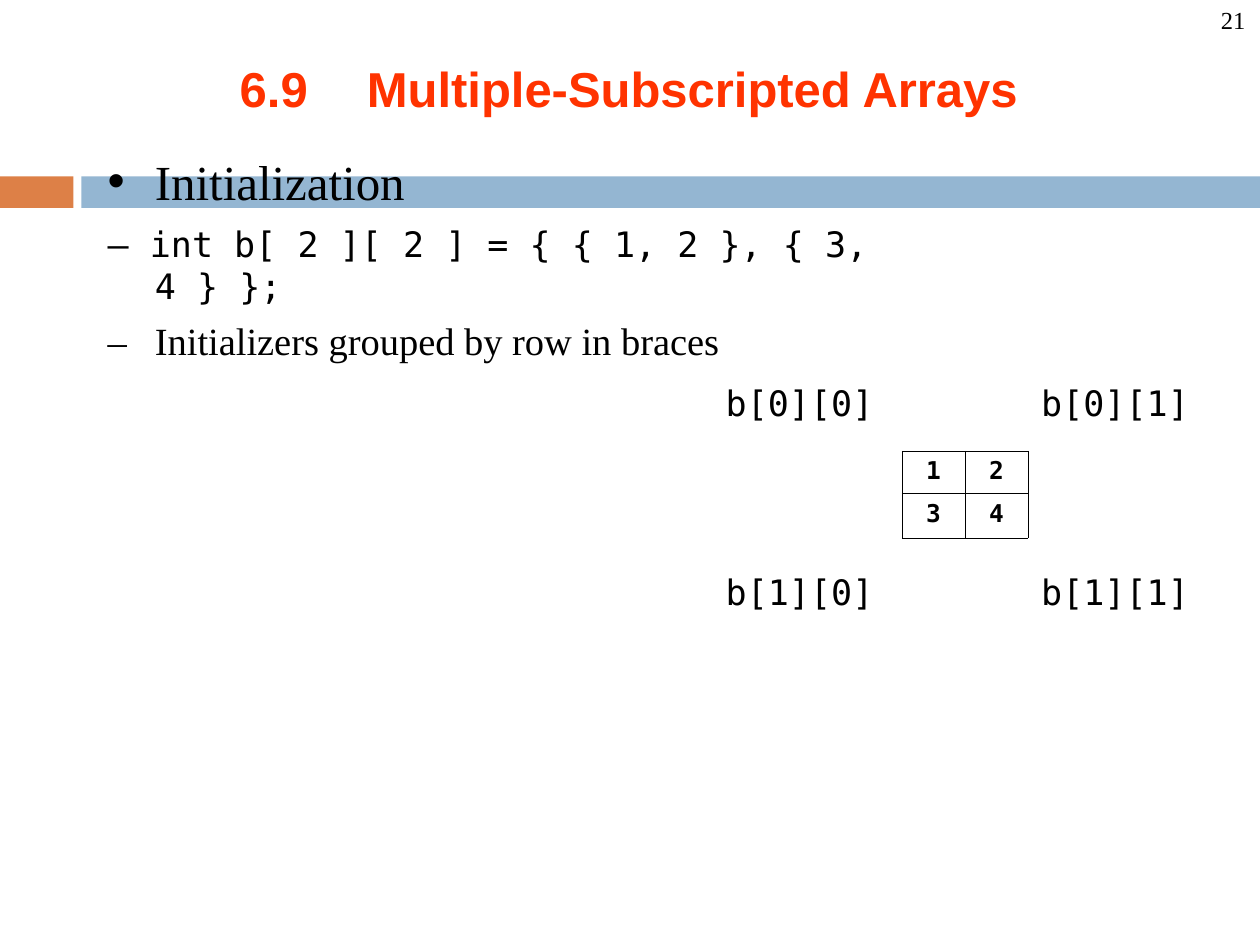
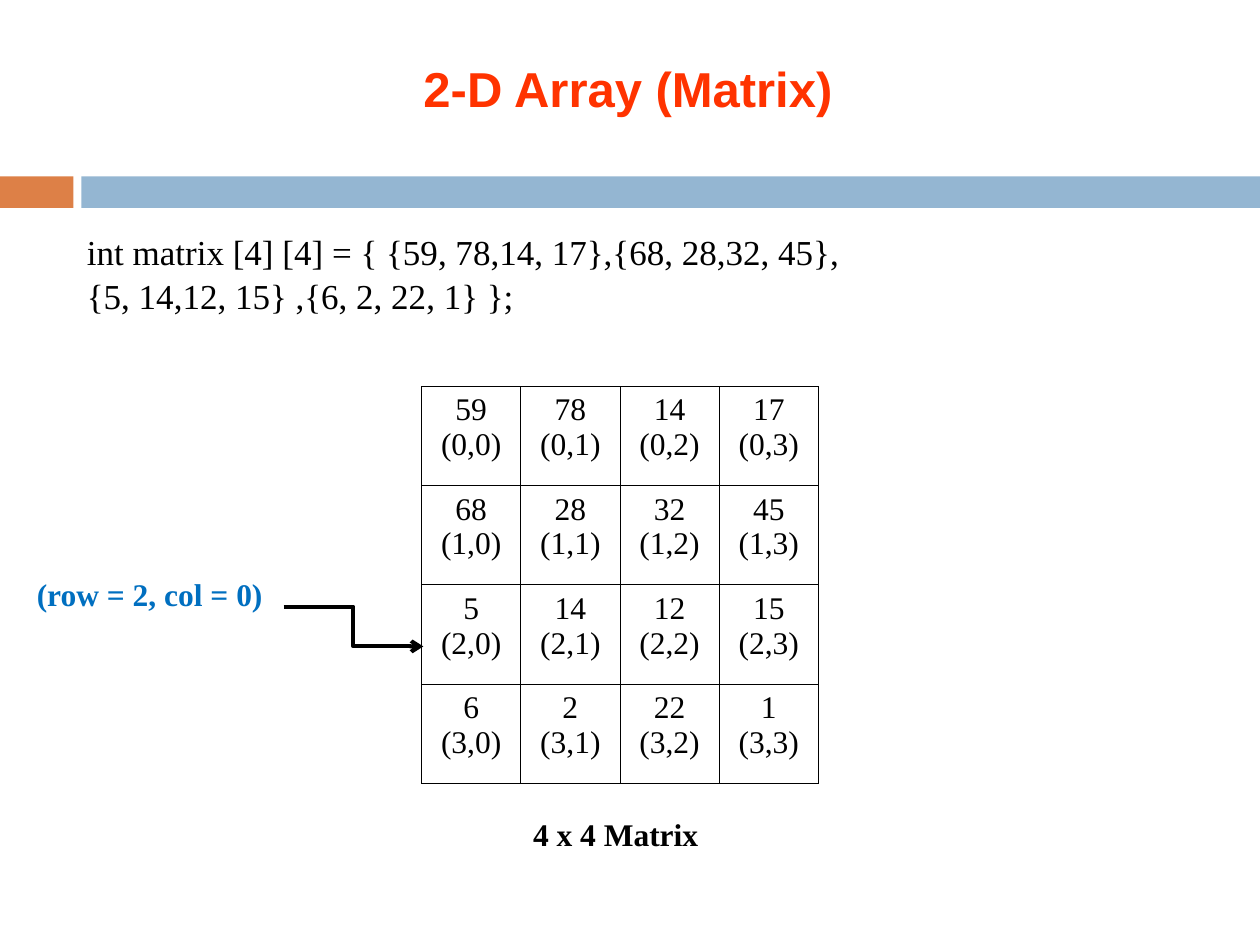
import dataclasses

import pptx
import pptx.dml.color
import pptx.enum.dml
import pptx.enum.shapes
import pptx.enum.text
import pptx.oxml
import pptx.oxml.ns
import pptx.util

Pt = pptx.util.Pt
RGB = pptx.dml.color.RGBColor.from_string
PP_ALIGN = pptx.enum.text.PP_ALIGN
qn = pptx.oxml.ns.qn


# Colours, fonts and type sizes
@dataclasses.dataclass(frozen=True)
class Theme:
    black: str = "000000"
    title: str = "FF3300"
    orange: str = "DD8047"
    blue: str = "94B6D2"
    callout: str = "006FC0"
    sans: str = "Arial"
    serif: str = "Times New Roman"
    mono: str = "DejaVu Sans Mono"
    heading: int = 28
    sub: int = 22
    code: int = 20
    label: int = 18
    small: int = 14


T = Theme()


def add_xml(parent, tag, **attrs):
    el = parent.makeelement(qn(tag), attrs)
    parent.append(el)
    return el


def style(p, size, font=T.serif, color=T.black, bold=False):
    for r in p.runs:
        r.font.size = Pt(size)
        r.font.name = font
        r.font.bold = bold
        r.font.color.rgb = RGB(color)


def set_frame(tf, top=0.7, wrap=False):
    tf.auto_size = pptx.enum.text.MSO_AUTO_SIZE.NONE
    tf.word_wrap = wrap
    tf.margin_left = tf.margin_right = tf.margin_bottom = 0
    tf.margin_top = Pt(top)


def place(sp, x, y, w, h):
    sp.left, sp.top, sp.width, sp.height = Pt(x), Pt(y), Pt(w), Pt(h)


def add_master_bands(prs, s):
    """Draw the two bands and move them to the master, behind everything."""
    tree = prs.slide_master.element.cSld.spTree
    for x, w, color in ((0, 42, T.orange), (46.5, 673.5, T.blue)):
        sp = s.shapes.add_shape(pptx.enum.shapes.MSO_SHAPE.RECTANGLE,
                                Pt(x), Pt(100.8), Pt(w), Pt(18))
        sp.shadow.inherit = False
        sp.fill.solid()
        sp.fill.fore_color.rgb = RGB(color)
        sp.line.fill.background()
        tree.insert(2, sp.element)


def set_title(s, text, x, w, tab=None):
    sp = s.shapes.title
    place(sp, x, 32.4, w, 35.3)
    tf = sp.text_frame
    set_frame(tf)
    tf.vertical_anchor = pptx.enum.text.MSO_ANCHOR.MIDDLE
    tf.text = text
    p = tf.paragraphs[0]
    p.alignment = PP_ALIGN.LEFT
    if tab:
        tabs = add_xml(p._p.get_or_add_pPr(), "a:tabLst")
        add_xml(tabs, "a:tab", pos=str(Pt(tab)), algn="l")
    style(p, T.heading, T.sans, T.title, bold=True)


def set_list(s, items, x, y, w, h):
    """Fill the body with (text, size, font, space before, bullet) items."""
    sp = s.placeholders[1]
    place(sp, x, y, w, h)
    tf = sp.text_frame
    set_frame(tf, top=10.8, wrap=True)
    tf.text = "\n".join(item[0] for item in items)
    for p, (_, size, font, before, bullet) in zip(tf.paragraphs, items):
        pPr = p._p.get_or_add_pPr()
        pPr.set("marL", str(Pt(28)))
        pPr.set("indent", str(Pt(-27)))
        if bullet:
            add_xml(pPr, "a:buChar", char=bullet)
        else:
            add_xml(pPr, "a:buNone")
        p.space_before = Pt(before)
        style(p, size, font)


def add_label(s, text, x, y, w, h, size, spacing=None, **font):
    sp = s.shapes.add_textbox(Pt(x), Pt(y), Pt(w), Pt(h))
    tf = sp.text_frame
    set_frame(tf)
    tf.text = text
    for p in tf.paragraphs:
        p.line_spacing = spacing
        style(p, size, **font)


def add_grid(s, rows, x, y, col_w, row_heights, tops, line, size, **font):
    """Add a plain ruled table with centred cells; tops are cell top margins."""
    frame = s.shapes.add_table(len(rows), len(rows[0]), Pt(x), Pt(y),
                               Pt(col_w * len(rows[0])), Pt(sum(row_heights)))
    table = frame.table
    table.first_row = table.horz_banding = False
    for col in table.columns:
        col.width = Pt(col_w)
    for row, values, height, top in zip(table.rows, rows, row_heights, tops):
        row.height = Pt(height)
        for cell, value in zip(row.cells, values):
            cell.margin_left = cell.margin_right = cell.margin_bottom = 0
            cell.margin_top = Pt(top)
            cell.text = value
            for p in cell.text_frame.paragraphs:
                p.alignment = PP_ALIGN.CENTER
                style(p, size, **font)
            tcPr = cell._tc.get_or_add_tcPr()
            for side in ("L", "R", "T", "B"):
                ln = add_xml(tcPr, "a:ln" + side, w=str(Pt(line)))
                fill = add_xml(ln, "a:solidFill")
                add_xml(fill, "a:srgbClr", val=T.black)
            cell.fill.background()


def add_elbow_arrow(s, x1, y1, x2, y2):
    cxn = s.shapes.add_connector(pptx.enum.shapes.MSO_CONNECTOR.ELBOW,
                                 Pt(x1), Pt(y1), Pt(x2), Pt(y2))
    cxn.line.width = Pt(2.25)
    cxn.line.color.rgb = RGB(T.black)
    add_xml(cxn.line._get_or_add_ln(), "a:tailEnd", type="arrow")
    add_xml(cxn.element.spPr, "a:effectLst")


def build_initialization(s):
    add_label(s, "21", 697.7, 2.2, 16.6, 18, T.small)
    set_title(s, "6.9\tMultiple-Subscripted Arrays", 137, 446, tab=72.7)
    set_list(s, [
        ("Initialization", T.heading, T.serif, 0, "•"),
        ("– int b[ 2 ][ 2 ] = { { 1, 2 }, { 3, 4 } };", T.code, T.mono, 7, None),
        ("–\tInitializers grouped by row in braces", T.sub, T.serif, 6, None),
    ], 60.5, 75.6, 448, 131.8)

    # Array values, with an element name beside each corner
    add_grid(s, [["1", "2"], ["3", "4"]], 515.5, 257.8, 36, (23.8, 25.9),
             (2.9, 4), 0.34, T.small, font=T.mono, bold=True)
    for row, y in enumerate((217.4, 325.4)):
        for col, x in enumerate((414.7, 595)):
            add_label(s, f"b[{row}][{col}]", x, y, 86.4, 25.2, T.code,
                      font=T.mono)


def build_matrix(s):
    set_title(s, "2-D Array (Matrix)", 242, 237)
    add_label(s, "int matrix [4] [4] = { {59, 78,14, 17},{68, 28,32, 45},\n"
              "{5, 14,12, 15} ,{6, 2, 22, 1} };",
              49.7, 130.3, 436.3, 49, T.code, spacing=1.04)

    # Each cell holds a value and its index
    matrix = [[59, 78, 14, 17], [68, 28, 32, 45], [5, 14, 12, 15], [6, 2, 22, 1]]
    cells = [[f"{value}\n({i},{j})" for j, value in enumerate(row)]
             for i, row in enumerate(matrix)]
    side = 56.7
    add_grid(s, cells, 240.9, 220.8, side, [side] * 4, [3.6] * 4, 0.45, T.label)
    add_label(s, "4 x 4 Matrix", 304.6, 465.1, 96.5, 22.3, T.label, bold=True)

    # Callout for one element
    add_elbow_arrow(s, 162, 346.7, 241.9, 369.4)
    add_label(s, "(row = 2, col = 0)", 21, 327.6, 131, 22.3, T.label,
              color=T.callout, bold=True)


def main():
    prs = pptx.Presentation()
    prs.slide_width, prs.slide_height = Pt(720), Pt(540)
    s = prs.slides.add_slide(prs.slide_layouts.get_by_name("Title and Content"))
    add_master_bands(prs, s)
    build_initialization(s)
    build_matrix(prs.slides.add_slide(prs.slide_layouts.get_by_name("Title Only")))
    prs.save("out.pptx")


if __name__ == "__main__":
    main()
